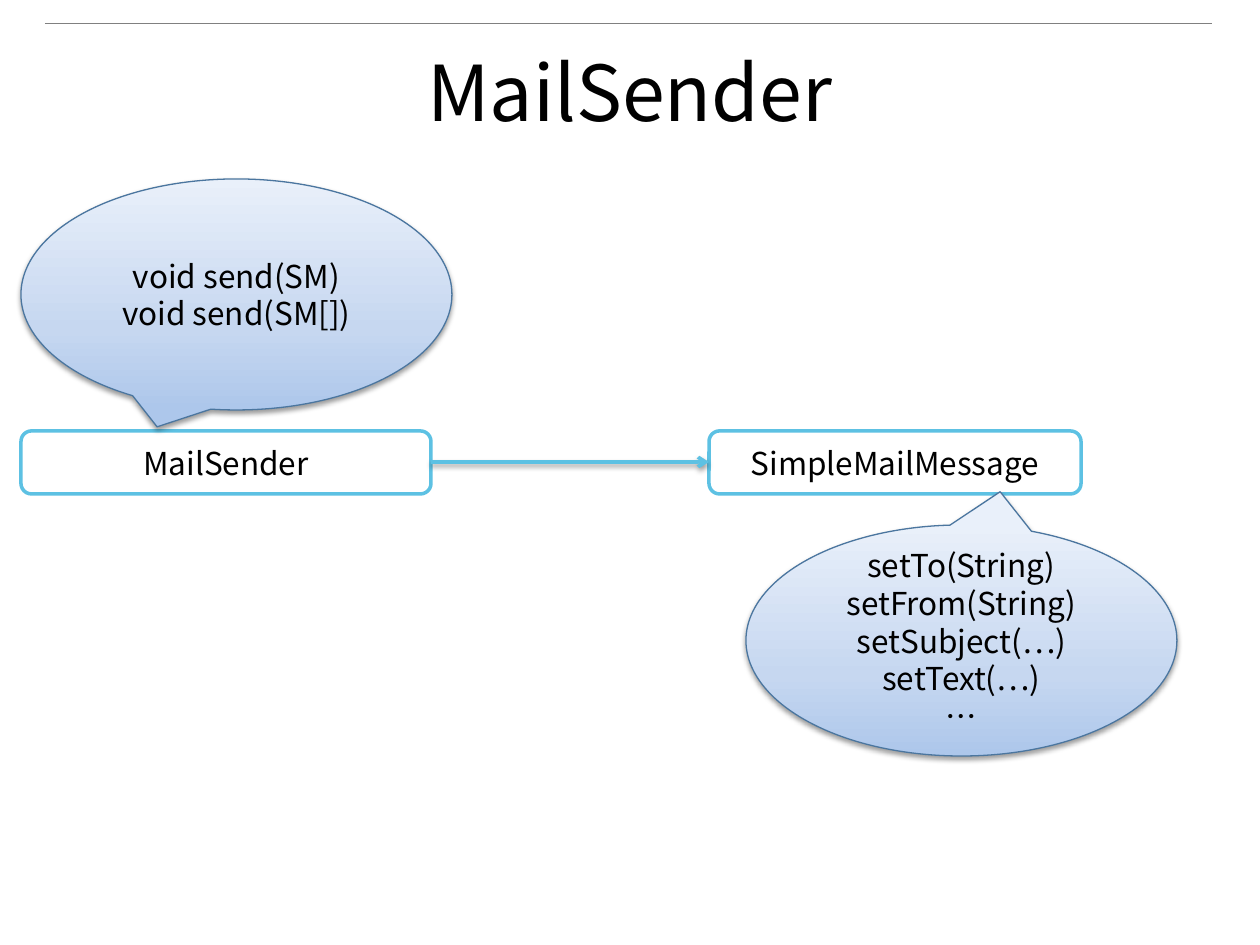
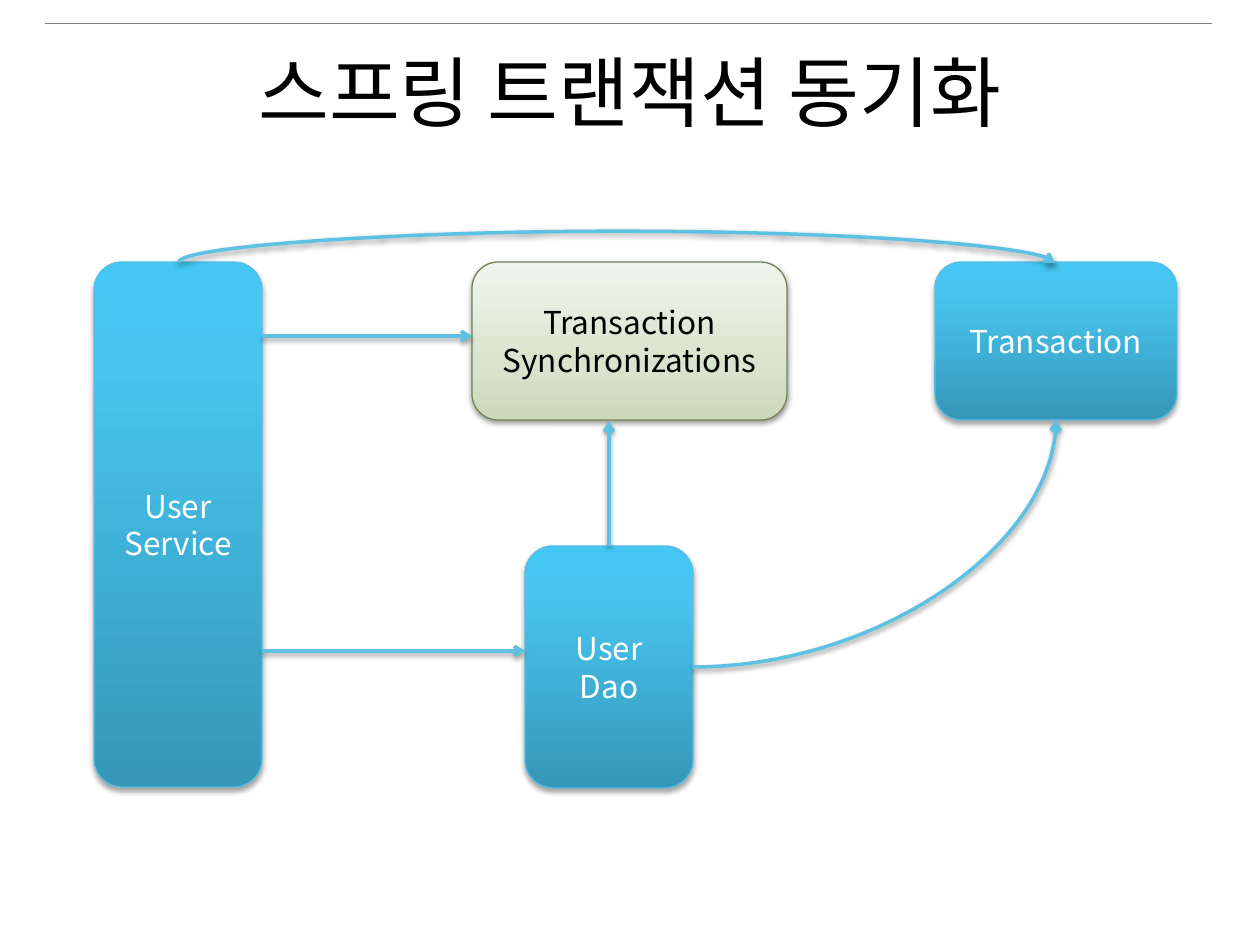
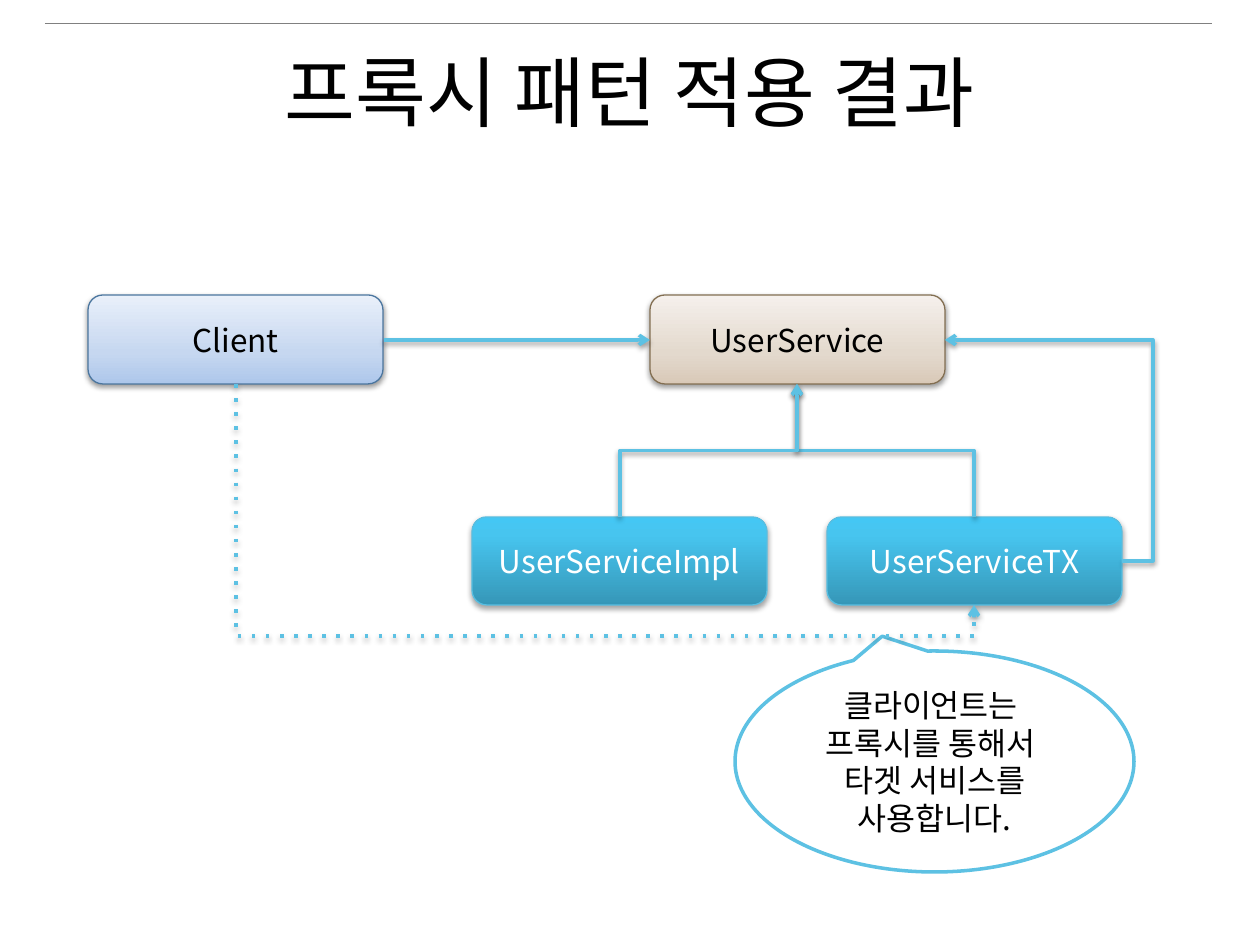
from lxml import etree
from pptx import Presentation, util as u
from pptx.dml.color import RGBColor
from pptx.enum import shapes, text
from pptx.oxml.ns import qn

SCALE = 914400 / 126
FONT = "Noto Sans CJK KR"
BLACK, WHITE, CYAN = "000000", "FFFFFF", "5DC1E3"
TITLE_AREA = (63, 38, 1134, 158)
TOP_RULE = ((45, 23), (1212, 23))

SOFT, STRONG = (38, 1.6), (35, 1.8)
STYLES = {
    "outline": dict(stops=None, line=CYAN, width=2, font=BLACK, shadow=None),
    "blue": dict(stops=[(0, "ADC7EB"), (35, "C6D7F0"), (100, "E9F0FA")],
                 line="4B769F", width=0.75, font=BLACK, shadow=SOFT),
    "green": dict(stops=[(0, "CBD8BA"), (35, "DAE3CE"), (100, "F1F5EC")],
                  line="738356", width=0.75, font=BLACK, shadow=SOFT),
    "tan": dict(stops=[(0, "D9C9B8"), (35, "E3D9CD"), (100, "F5F0EC")],
                line="836F52", width=0.75, font=BLACK, shadow=SOFT),
    "cyan": dict(stops=[(0, "3697B8"), (80, "47C5EF"), (100, "44C7F4")],
                 line="58BEE1", width=0.75, font=WHITE, shadow=STRONG),
}

SLIDES = [
    dict(
        title="MailSender",
        boxes=[
            ("outline", (21, 431, 410, 63), ["MailSender"]),
            ("outline", (709, 431, 372, 63), ["SimpleMailMessage"]),
        ],
        callouts=[
            ("blue", (746, 525, 431, 231), (0.09, -0.644),
             ["setTo(String)", "setFrom(String)", "setSubject(…)", "setText(…)", "…"]),
            ("blue", (21, 179, 431, 231), (-0.184, 0.573),
             ["void send(SM)", "void send(SM[])"]),
        ],
        arrows=[dict(start=(431, 462), end=(709, 462))],
    ),
    dict(
        title="스프링 트랜잭션 동기화",
        boxes=[
            ("cyan", (94, 262, 168, 525), ["User", "Service"]),
            ("cyan", (935, 262, 242, 158), ["Transaction"]),
            ("green", (472, 262, 315, 158), ["Transaction", "Synchronizations"]),
            ("cyan", (525, 546, 168, 242), ["User", "Dao"]),
        ],
        callouts=[],
        arrows=[
            dict(start=(179, 262), end=(1055, 263), kind="CURVE", upright=True, bend=-31),
            dict(start=(262, 336), end=(472, 336)),
            dict(start=(262, 651), end=(525, 651), kind="CURVE"),
            dict(start=(609, 546), end=(609, 421)),
            dict(start=(693, 667), end=(1056, 420), kind="CURVE", preset="curvedConnector2"),
        ],
    ),
    dict(
        title="프록시 패턴 적용 결과",
        boxes=[
            ("tan", (650, 295, 295, 89), ["UserService"]),
            ("blue", (88, 295, 295, 89), ["Client"]),
            ("cyan", (827, 517, 295, 88), ["UserServiceTX"]),
            ("cyan", (472, 517, 295, 88), ["UserServiceImpl"]),
        ],
        callouts=[
            ("outline", (735, 651, 399, 221), (-0.131, -0.567),
             ["클라이언트는 ", "프록시를 통해서 ", "타겟 서비스를 사용합니다."]),
        ],
        arrows=[
            dict(start=(384, 340), end=(650, 340), kind="ELBOW"),
            dict(start=(974, 517), end=(797, 384), kind="ELBOW", upright=True),
            dict(start=(620, 517), end=(797, 384), kind="ELBOW", upright=True),
            dict(start=(1122, 561), end=(945, 340), kind="ELBOW", bend=-31),
            dict(start=(236, 384), end=(974, 605), kind="ELBOW", upright=True, bend=252,
                 dash="dot"),
        ],
    ),
]


def px(*values):
    return [u.Emu(round(value * SCALE)) for value in values]


def color(value):
    return RGBColor.from_string(value)


def add_node(parent, tag, **values):
    return etree.SubElement(parent, qn("a:" + tag), {k: str(v) for k, v in values.items()})


def add_shadow(shape, shadow):
    properties = shape._element.spPr
    for old in properties.findall(qn("a:effectLst")):
        properties.remove(old)
    effects = add_node(properties, "effectLst")
    if shadow:
        alpha, distance = shadow
        outer = add_node(effects, "outerShdw", blurRad=u.Pt(3.1), dist=u.Pt(distance),
                         dir=5400000, rotWithShape=0)
        add_node(add_node(outer, "srgbClr", val=BLACK), "alpha", val=alpha * 1000)


def write(shape, lines, size, font, anchor):
    frame = shape.text_frame
    frame.word_wrap = True
    frame.vertical_anchor = anchor
    for index, line in enumerate(lines):
        para = frame.paragraphs[0] if index == 0 else frame.add_paragraph()
        para.alignment = text.PP_ALIGN.CENTER
        para.line_spacing = u.Pt(size * 1.2)
        span = para.add_run()
        span.text = line
        for name, value in dict(name=FONT, size=u.Pt(size)).items():
            setattr(span.font, name, value)
        span.font.color.rgb = color(font)
        add_node(span._r.get_or_add_rPr(), "ea", typeface=FONT)


def add_box(page, preset, style_name, area, lines):
    style = STYLES[style_name]
    box = page.shapes.add_shape(preset, *px(*area))
    if style["stops"]:
        box.fill.gradient()
        box.fill.gradient_angle = 90
        stops = box._element.spPr.find(".//" + qn("a:gsLst"))
        for old in list(stops):
            stops.remove(old)
        for position, value in style["stops"]:
            add_node(add_node(stops, "gs", pos=position * 1000), "srgbClr", val=value)
    else:
        box.fill.solid()
        box.fill.fore_color.rgb = color(WHITE)
    box.line.color.rgb = color(style["line"])
    box.line.width = u.Pt(style["width"])
    add_shadow(box, style["shadow"])
    write(box, lines, 18, style["font"], text.MSO_ANCHOR.MIDDLE)
    return box


def add_line(page, start, end, kind="STRAIGHT", value=CYAN, width=2, shadow=None):
    line = page.shapes.add_connector(getattr(shapes.MSO_CONNECTOR, kind), *px(*start, *end))
    line.line.color.rgb = color(value)
    line.line.width = u.Pt(width)
    add_shadow(line, shadow)
    return line


def turn_upright(line, start, end):
    (x1, y1), (x2, y2) = start, end
    width, height = abs(y2 - y1), abs(x2 - x1)
    left, top = (x1 + x2 - width) / 2, (y1 + y2 - height) / 2
    for name, value in zip(("left", "top", "width", "height"), px(left, top, width, height)):
        setattr(line, name, value)
    frame = line._element.spPr.find(qn("a:xfrm"))
    for name, value in dict(rot=16200000, flipH=int(y2 > y1), flipV=int(x2 < x1)).items():
        frame.set(name, str(value))


def add_arrow(page, start, end, kind="STRAIGHT", upright=False, bend=None, preset=None,
              dash=None):
    arrow = add_line(page, start, end, kind, shadow=SOFT)
    if upright:
        turn_upright(arrow, start, end)
    geometry = arrow._element.spPr.find(qn("a:prstGeom"))
    if preset:
        geometry.set("prst", preset)
    if bend is not None:
        axis = 1 if upright else 0
        ratio = bend / abs(end[axis] - start[axis])
        guides = geometry.find(qn("a:avLst"))
        if guides is None:
            guides = add_node(geometry, "avLst")
        add_node(guides, "gd", name="adj1", fmla=f"val {round(ratio * 100000)}")
    outline = arrow.line._get_or_add_ln()
    if dash:
        add_node(outline, "prstDash", val=dash)
    add_node(outline, "tailEnd", type="arrow")


deck = Presentation()
deck.slide_width, deck.slide_height = px(1260, 945)

for content in SLIDES:
    page = deck.slides.add_slide(deck.slide_layouts[6])
    add_line(page, *TOP_RULE, value="808080", width=0.25)
    title = page.shapes.add_textbox(*px(*TITLE_AREA))
    write(title, [content["title"]], 44, BLACK, text.MSO_ANCHOR.TOP)
    for style, area, lines in content["boxes"]:
        add_box(page, shapes.MSO_SHAPE.ROUNDED_RECTANGLE, style, area, lines)
    for style, area, tip, lines in content["callouts"]:
        callout = add_box(page, shapes.MSO_SHAPE.OVAL_CALLOUT, style, area, lines)
        for index, offset in enumerate(tip):
            callout.adjustments[index] = offset
    for arrow in content["arrows"]:
        add_arrow(page, **arrow)

deck.save("out.pptx")
